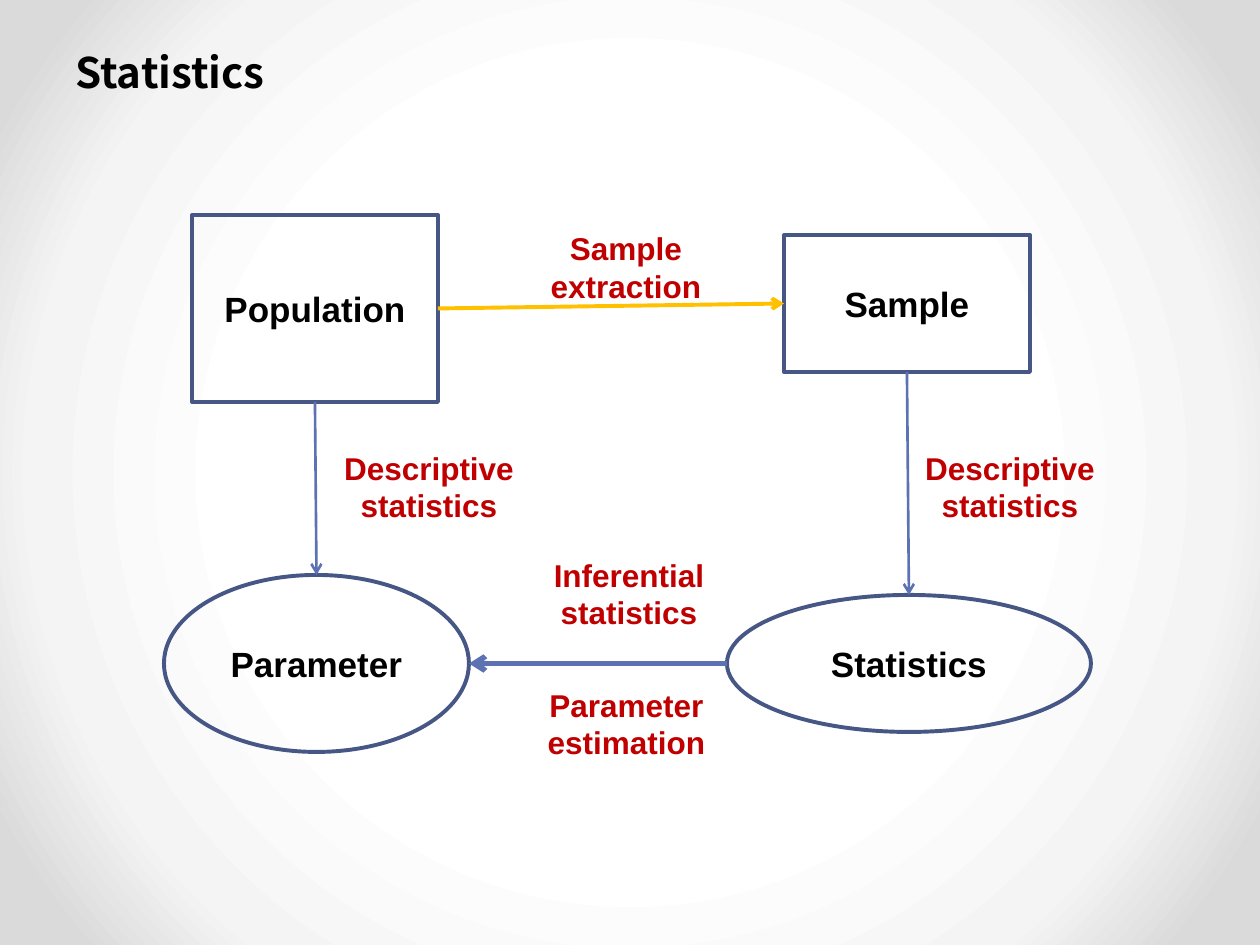
from lxml.etree import SubElement
from pptx import Presentation
from pptx.dml.color import RGBColor
from pptx.enum.shapes import MSO_CONNECTOR, MSO_SHAPE
from pptx.enum.text import MSO_ANCHOR, PP_ALIGN
from pptx.oxml.ns import qn
from pptx.util import Pt

PX = 914400 // 126  # EMU per px
BLACK = RGBColor(0x00, 0x00, 0x00)
RED = RGBColor(0xC0, 0x00, 0x00)
NAVY = RGBColor(0x47, 0x57, 0x85)
BLUE = RGBColor(0x5C, 0x72, 0xB2)
AMBER = RGBColor(0xFF, 0xC0, 0x00)
RECT, OVAL = MSO_SHAPE.RECTANGLE, MSO_SHAPE.OVAL

BACKDROP = [(50, "FFFFFF"), (76, "F4F4F4"), (92, "DADADA")]
TITLE = ("Statistics", (63, 38, 1134, 68))

# name: text, preset, (left, top, width, height)
NODES = {
    "population": ("Population", RECT, (192, 215, 246, 187)),
    "sample": ("Sample", RECT, (784, 235, 246, 137)),
    "parameter": ("Parameter", OVAL, (164, 575, 305, 177)),
    "statistics": ("Statistics", OVAL, (727, 595, 364, 137)),
}
# from node, side, to node, side, colour, width in points
ARROWS = [
    ("population", "right", "sample", "left", AMBER, 2.25),
    ("sample", "bottom", "statistics", "top", BLUE, 1.5),
    ("population", "bottom", "parameter", "top", BLUE, 1.5),
    ("statistics", "left", "parameter", "right", BLUE, 3),
]
LABELS = [
    ("Sample extraction", (533, 237, 186, 59)),
    ("Descriptive statistics", (912, 422, 196, 129)),
    ("Descriptive statistics", (331, 422, 196, 129)),
    ("Inferential statistics", (536, 529, 186, 129)),
    ("Parameter estimation", (518, 659, 217, 129)),
]
SIDES = {"left": (0, 0.5), "right": (1, 0.5), "top": (0.5, 0), "bottom": (0.5, 1)}


def emu(lengths):
    return [round(length * PX) for length in lengths]


def write(shape, text, size, color=BLACK, font="Arial", align=PP_ALIGN.CENTER):
    frame = shape.text_frame
    frame.word_wrap = True
    frame.vertical_anchor = MSO_ANCHOR.MIDDLE
    para = frame.paragraphs[0]
    para.alignment = align
    span = para.add_run()
    span.text = text
    span.font.size = Pt(size)
    span.font.name = font
    span.font.bold = True
    span.font.color.rgb = color
    # East Asian face follows the Latin one
    SubElement(span.font._element, qn("a:ea"), typeface=font)


def paint_backdrop(page):
    """Fill the background with a gradient spreading from the centre."""
    page.background.fill.gradient()
    gradient = page._element.find(".//" + qn("a:gradFill"))
    for child in list(gradient):
        gradient.remove(child)
    stops = SubElement(gradient, qn("a:gsLst"))
    for percent, color in BACKDROP:
        stop = SubElement(stops, qn("a:gs"), pos=str(percent * 1000))
        SubElement(stop, qn("a:srgbClr"), val=color)
    circle = SubElement(gradient, qn("a:path"), path="circle")
    SubElement(circle, qn("a:fillToRect"), dict.fromkeys("ltrb", "50000"))


def add_node(page, text, preset, area):
    node = page.shapes.add_shape(preset, *emu(area))
    node.shadow.inherit = False
    node.fill.background()
    node.line.color.rgb = NAVY
    node.line.width = Pt(2.25)
    write(node, text, 20)


def side_point(name, side):
    left, top, width, height = NODES[name][2]
    across, down = SIDES[side]
    return left + width * across, top + height * down


def add_arrow(page, start, end, color, width):
    arrow = page.shapes.add_connector(MSO_CONNECTOR.STRAIGHT, *emu(start + end))
    arrow.line.color.rgb = color
    arrow.line.width = Pt(width)
    SubElement(arrow.line._get_or_add_ln(), qn("a:tailEnd"), type="arrow")
    SubElement(arrow._element.spPr, qn("a:effectLst"))


def main():
    deck = Presentation()
    deck.slide_width, deck.slide_height = emu((1260, 945))
    page = deck.slides.add_slide(deck.slide_layouts[6])
    paint_backdrop(page)

    title, area = TITLE
    write(page.shapes.add_textbox(*emu(area)), title, 24,
          font="Noto Sans CJK KR", align=PP_ALIGN.LEFT)
    for text, preset, area in NODES.values():
        add_node(page, text, preset, area)
    for source, exit_side, target, entry_side, color, width in ARROWS:
        add_arrow(page, side_point(source, exit_side),
                  side_point(target, entry_side), color, width)
    for text, area in LABELS:
        write(page.shapes.add_textbox(*emu(area)), text, 18, color=RED)

    deck.save("out.pptx")


if __name__ == "__main__":
    main()
